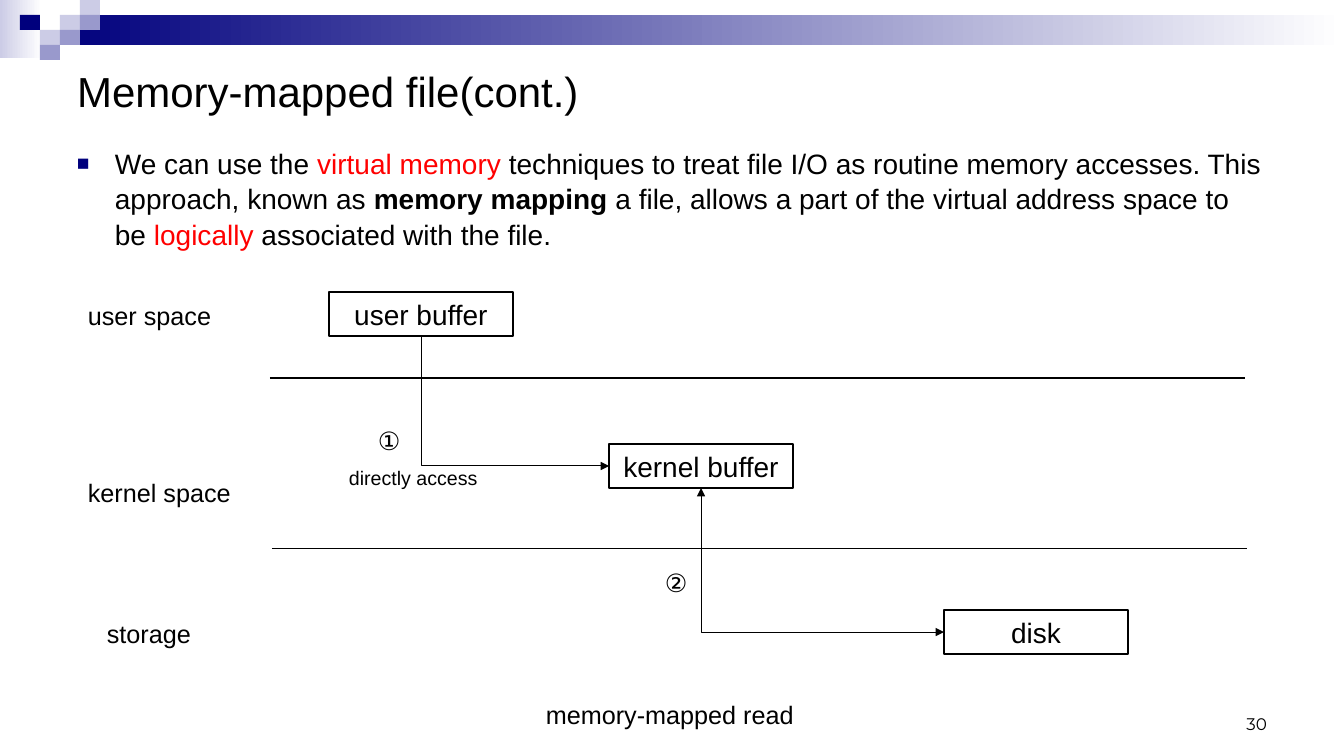
import pptx
import pptx.util
import pptx.dml.color
import pptx.enum.shapes
import pptx.enum.text
import pptx.oxml
import pptx.oxml.ns
import lxml.etree

RGBColor = pptx.dml.color.RGBColor
MSO_SHAPE = pptx.enum.shapes.MSO_SHAPE
MSO_CONNECTOR = pptx.enum.shapes.MSO_CONNECTOR
PP_ALIGN = pptx.enum.text.PP_ALIGN
MSO_ANCHOR = pptx.enum.text.MSO_ANCHOR
Pt = pptx.util.Pt
qn = pptx.oxml.ns.qn

BLACK = RGBColor(0, 0, 0)
WHITE = RGBColor(255, 255, 255)
RED = RGBColor(255, 0, 0)
NAVY = RGBColor(0, 0, 0x7D)
LILAC = RGBColor(0xCC, 0xCC, 0xE6)
VIOLET = RGBColor(0x99, 0x99, 0xCC)

EMU_PER_PX = 914400 / 100.8
BOTTOM, LEFT = 2, 1  # connection sites of a rectangle


def px(*lengths):
    """Turn pixel lengths into EMU."""
    return [round(n * EMU_PER_PX) for n in lengths]


def sub(parent, tag, **attrs):
    """Append a child element with the given attributes."""
    return lxml.etree.SubElement(parent, qn(tag), attrs)


def style(p, size, color=BLACK, font="Arial", align=PP_ALIGN.LEFT):
    """Format a whole paragraph."""
    p.font.size, p.font.name = Pt(size), font
    p.font.color.rgb = color
    p.alignment = align


def rect(s, *box):
    """Add a plain rectangle without a shadow."""
    sp = s.shapes.add_shape(MSO_SHAPE.RECTANGLE, *px(*box))
    sp.shadow.inherit = False
    return sp


def tile(s, box, *colors):
    """Add a borderless rectangle in one colour or a gradient of two."""
    sp = rect(s, *box)
    sp.line.fill.background()
    if len(colors) == 1:
        sp.fill.solid()
        sp.fill.fore_color.rgb = colors[0]
        return
    sp.fill.gradient()
    sp.fill.gradient_angle = 0
    for stop, color in zip(sp.fill.gradient_stops, colors):
        stop.color.rgb = color


def header(s, x, y, w):
    """Draw the gradient band with its mosaic of tiles."""
    tile_w, tile_h = 20, 15
    tile(s, (x, y, 42, 58), LILAC, WHITE)
    tile(s, (x + 60, y + tile_h, w - 60, 2 * tile_h), NAVY, WHITE)
    mosaic = [(3, 1, LILAC), (4, 0, LILAC), (4, 1, VIOLET), (2, 2, LILAC),
              (1, 1, NAVY), (3, 2, VIOLET), (2, 3, VIOLET)]
    for col, row, color in mosaic:
        tile(s, (x + col * tile_w, y + row * tile_h, tile_w, tile_h), color)


def title(s, *box):
    """Place and format the title placeholder."""
    sp = s.shapes.title
    sp.left, sp.top, sp.width, sp.height = px(*box)
    tf = sp.text_frame
    tf.text = "Memory-mapped file(cont.)"
    tf.auto_size = pptx.enum.text.MSO_AUTO_SIZE.NONE
    tf.vertical_anchor = MSO_ANCHOR.MIDDLE
    style(tf.paragraphs[0], 30)


def body(s, *box):
    """Write the bulleted paragraph."""
    tf = s.shapes.add_textbox(*px(*box)).text_frame
    tf.word_wrap = True
    p = tf.paragraphs[0]
    style(p, 20)
    p.space_before = Pt(4)
    p.line_spacing = 1.05
    pieces = [
        ("We can use the ", BLACK, False),
        ("virtual memory ", RED, False),
        ("techniques to treat file I/O as routine memory accesses. "
         "This approach, known as ", BLACK, False),
        ("memory mapping ", BLACK, True),
        ("a file, allows a part of the virtual address space to be ", BLACK, False),
        ("logically", RED, False),
        (" associated with the file.", BLACK, False),
    ]
    for text, color, bold in pieces:
        r = p.add_run()
        r.text = text
        r.font.size, r.font.name, r.font.bold = Pt(20), "Arial", bold
        r.font.color.rgb = color
    pPr = p._p.get_or_add_pPr()
    indent = px(38)[0]
    pPr.set("marL", str(indent))
    pPr.set("indent", str(-indent))
    bullet = pptx.oxml.parse_xml(
        '<a:pPr xmlns:a="http://schemas.openxmlformats.org/drawingml/2006/main">'
        f'<a:buClr><a:srgbClr val="{NAVY}"/></a:buClr><a:buSzPct val="75000"/>'
        '<a:buFont typeface="Arial"/><a:buChar char="\u25a0"/></a:pPr>')
    spacing = pPr.find(qn("a:spcBef"))
    for el in reversed(list(bullet)):
        spacing.addnext(el)


def label(s, text, box, size=18):
    """Add a one-line text that does not wrap."""
    tf = s.shapes.add_textbox(*px(*box)).text_frame
    tf.word_wrap = False
    tf.text = text
    style(tf.paragraphs[0], size)


def node(s, text, x, y):
    """Add an outlined box with centred text."""
    sp = rect(s, x, y, 184, 44)
    sp.fill.background()
    sp.line.color.rgb, sp.line.width = BLACK, Pt(1.5)
    sp.text_frame.text = text
    style(sp.text_frame.paragraphs[0], 20, align=PP_ALIGN.CENTER)
    return sp


def line(s, kind, *ends):
    """Add a thin black connector without a shadow."""
    cxn = s.shapes.add_connector(kind, *ends)
    cxn.line.color.rgb, cxn.line.width = BLACK, Pt(0.75)
    sub(cxn._element.spPr, "a:effectLst")
    return cxn


def elbow(s, start, end, *heads):
    """Join the bottom of one node to the left of another, down then right."""
    x1, y1 = start.left + start.width // 2, start.top + start.height
    x2, y2 = end.left, end.top + end.height // 2
    cxn = line(s, MSO_CONNECTOR.ELBOW, x1, y1, x2, y2)
    cxn.begin_connect(start, BOTTOM)
    cxn.end_connect(end, LEFT)
    # The one-bend preset goes right then down, so it is turned and mirrored.
    dx, dy = x2 - x1, y2 - y1
    cxn.left, cxn.top = (x1 + x2 - dy) // 2, (y1 + y2 - dx) // 2
    cxn.width, cxn.height = dy, dx
    spPr = cxn._element.spPr
    spPr.find(qn("a:xfrm")).set("rot", "16200000")
    spPr.find(qn("a:xfrm")).set("flipH", "1")
    spPr.find(qn("a:prstGeom")).set("prst", "bentConnector2")
    for head in heads:
        sub(spPr.find(qn("a:ln")), head, type="triangle")


def diagram(s, x, y):
    """Draw the three spaces, their nodes and the memory-mapped read."""
    for dx, dy in [(192, 86), (194, 257)]:
        line(s, MSO_CONNECTOR.STRAIGHT,
             *px(x + dx, y + dy, x + dx + 975, y + dy))
    user = node(s, "user buffer", x + 251, y)
    kernel = node(s, "kernel buffer", x + 531, y + 152)
    disk = node(s, "disk", x + 866, y + 318)
    elbow(s, user, kernel, "a:tailEnd")
    elbow(s, kernel, disk, "a:headEnd", "a:tailEnd")
    labels = [("user space", 0, 3, 145), ("kernel space", 0, 180, 164),
              ("storage", 19, 321, 105), ("\u2460", 290, 128, 45),
              ("\u2461", 577, 270, 45), ("memory-mapped read", 458, 402, 270)]
    for text, dx, dy, w in labels:
        label(s, text, (x + dx, y + dy, w, 40))
    label(s, "directly access", (x + 261, y + 169, 150, 34), 14)


def page_number(s, *box):
    """Write the page number at the lower right."""
    tf = s.shapes.add_textbox(*px(*box)).text_frame
    tf.word_wrap = True
    tf.vertical_anchor = MSO_ANCHOR.BOTTOM
    tf.text = "30"
    style(tf.paragraphs[0], 12, font="Montserrat", align=PP_ALIGN.RIGHT)


prs = pptx.Presentation()
prs.slide_width, prs.slide_height = px(1344, 756)
s = prs.slides.add_slide(prs.slide_layouts[5])
header(s, 0, 0, 1344)
title(s, 67, 50, 1210, 82)
body(s, 67, 140, 1210, 507)
diagram(s, 78, 292)
page_number(s, 964, 689, 313, 50)
prs.save("out.pptx")
